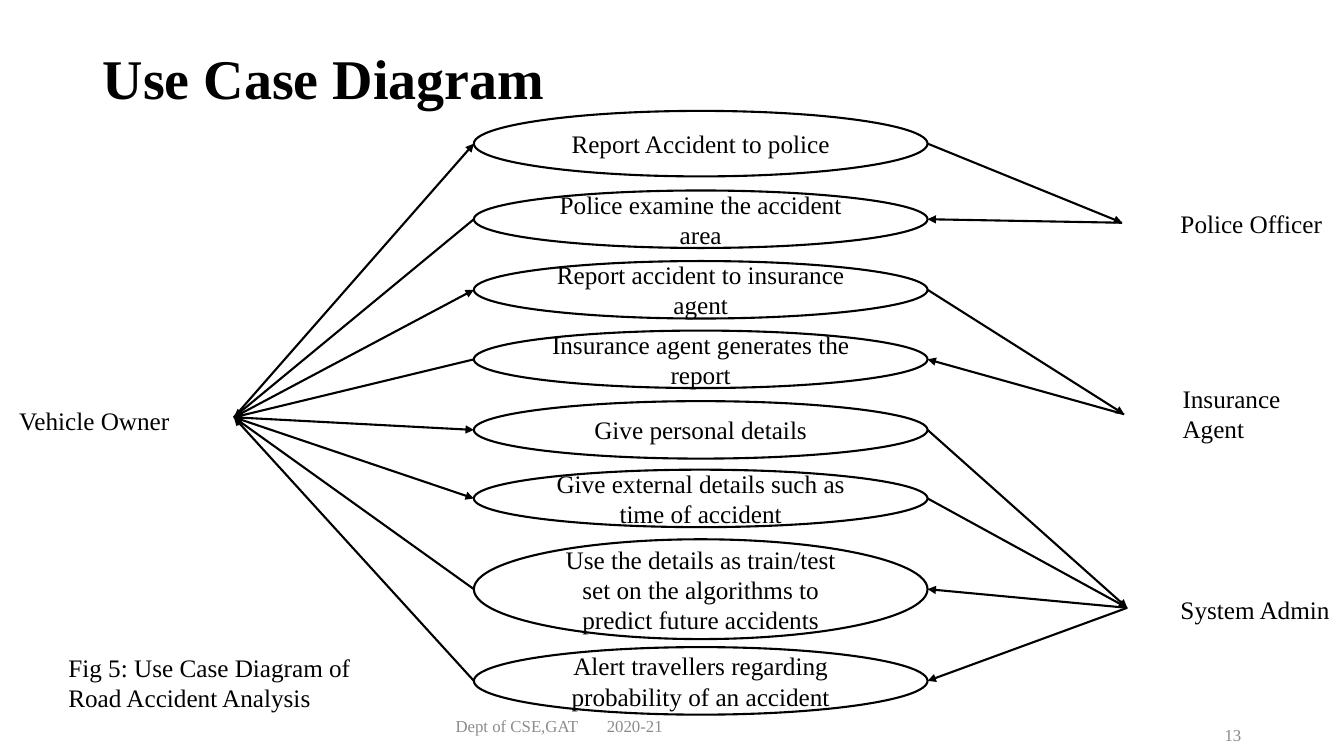
from lxml.etree import SubElement
from pptx import Presentation
from pptx.dml.color import RGBColor
from pptx.enum.shapes import MSO_CONNECTOR, MSO_SHAPE
from pptx.enum.text import MSO_ANCHOR, PP_ALIGN
from pptx.oxml.ns import qn
from pptx.util import Inches, Pt


def color(code):
    return RGBColor.from_string(code)


def write(shape, text, size=18, code="000000", align=PP_ALIGN.LEFT, anchor=MSO_ANCHOR.TOP):
    """Fill a shape with one wrapped paragraph and return that paragraph."""
    frame = shape.text_frame
    frame.word_wrap = True
    frame.vertical_anchor = anchor
    frame.text = text
    para = frame.paragraphs[0]
    para.alignment = align
    para.font.name = "Times New Roman"
    para.font.size = Pt(size)
    para.font.color.rgb = color(code)
    return para


deck = Presentation()
deck.slide_width, deck.slide_height = Inches(13.33), Inches(7.5)
slide = deck.slides.add_slide(deck.slide_layouts[5])
shapes = slide.shapes

# Title
title = shapes.title
title.left, title.top = Inches(0.92), Inches(0.15)
title.width, title.height = Inches(11.5), Inches(1.31)
head = write(title, "Use Case Diagram", 40, anchor=MSO_ANCHOR.MIDDLE)
head.font.bold = True
head.line_spacing = 0.9

# Footer, with the year on a tab stop, and page number
footer = shapes.add_textbox(Inches(4.42), Inches(7.09), Inches(4.5), Inches(0.4))
footer.text_frame.margin_top = Inches(0.01)
tabs = SubElement(footer.text_frame.paragraphs[0]._p.get_or_add_pPr(), qn("a:tabLst"))
SubElement(tabs, qn("a:tab"), pos=str(Inches(2.09)), algn="l")
write(footer, "Dept of CSE,GAT\t2020-21", 12, "8C8C8C")
page = shapes.add_textbox(Inches(9.95), Inches(7.09), Inches(2.46), Inches(0.4))
write(page, "13", 12, "898989", PP_ALIGN.RIGHT, MSO_ANCHOR.MIDDLE)

# Use cases: text, top, height, whether the owner starts it,
# the actor on the right, whether that actor starts it
left, right = 4.7, 9.2
owner = (2.32, 4.14)
police, agent, admin = (11.13, 2.21), (11.15, 4.11), (11.18, 6.03)
cases = [
    ("Report Accident to police", 1.1, 0.65, True, police, False),
    ("Police examine the accident area", 1.89, 0.57, False, police, True),
    ("Report accident to insurance agent", 2.59, 0.57, True, agent, False),
    ("Insurance agent generates the report", 3.28, 0.57, False, agent, True),
    ("Give personal details", 3.98, 0.57, True, admin, False),
    ("Give external details such as time of accident", 4.66, 0.57, True, admin, False),
    ("Use the details as train/test set on the algorithms to predict future accidents",
     5.35, 0.99, False, admin, True),
    ("Alert travellers regarding probability of an accident", 6.42, 0.67, False, admin, True),
]
for text, top, height, sends, actor, starts in cases:
    oval = shapes.add_shape(MSO_SHAPE.OVAL, Inches(left), Inches(top),
                            Inches(right - left), Inches(height))
    oval.shadow.inherit = False
    oval.fill.background()
    oval.line.color.rgb = color("000000")
    oval.line.width = Pt(1.5)
    write(oval, text, align=PP_ALIGN.CENTER, anchor=MSO_ANCHOR.MIDDLE)

    middle = top + height / 2
    for point, edge, outward in ((owner, left, sends), (actor, right, starts)):
        ends = [point, (edge, middle)]
        if not outward:
            ends.reverse()
        (x1, y1), (x2, y2) = ends
        arrow = shapes.add_connector(MSO_CONNECTOR.STRAIGHT, Inches(x1), Inches(y1),
                                     Inches(x2), Inches(y2))
        arrow.line.color.rgb = color("000000")
        arrow.line.width = Pt(1.5)
        SubElement(arrow.line._get_or_add_ln(), qn("a:tailEnd"), type="triangle")
        SubElement(arrow._element.spPr, qn("a:effectLst"))

# Actors and caption
labels = [
    ("Vehicle Owner", 0.09, 3.97, 1.98, 0.4),
    ("Police Officer", 11.61, 2.02, 1.69, 0.4),
    ("Insurance Agent", 11.63, 3.75, 1.25, 0.71),
    ("System Admin", 11.61, 5.85, 1.69, 0.4),
    ("Fig 5: Use Case Diagram of Road Accident Analysis", 0.58, 6.42, 3.47, 0.71),
]
for text, *place in labels:
    write(shapes.add_textbox(*map(Inches, place)), text)

deck.save("out.pptx")
